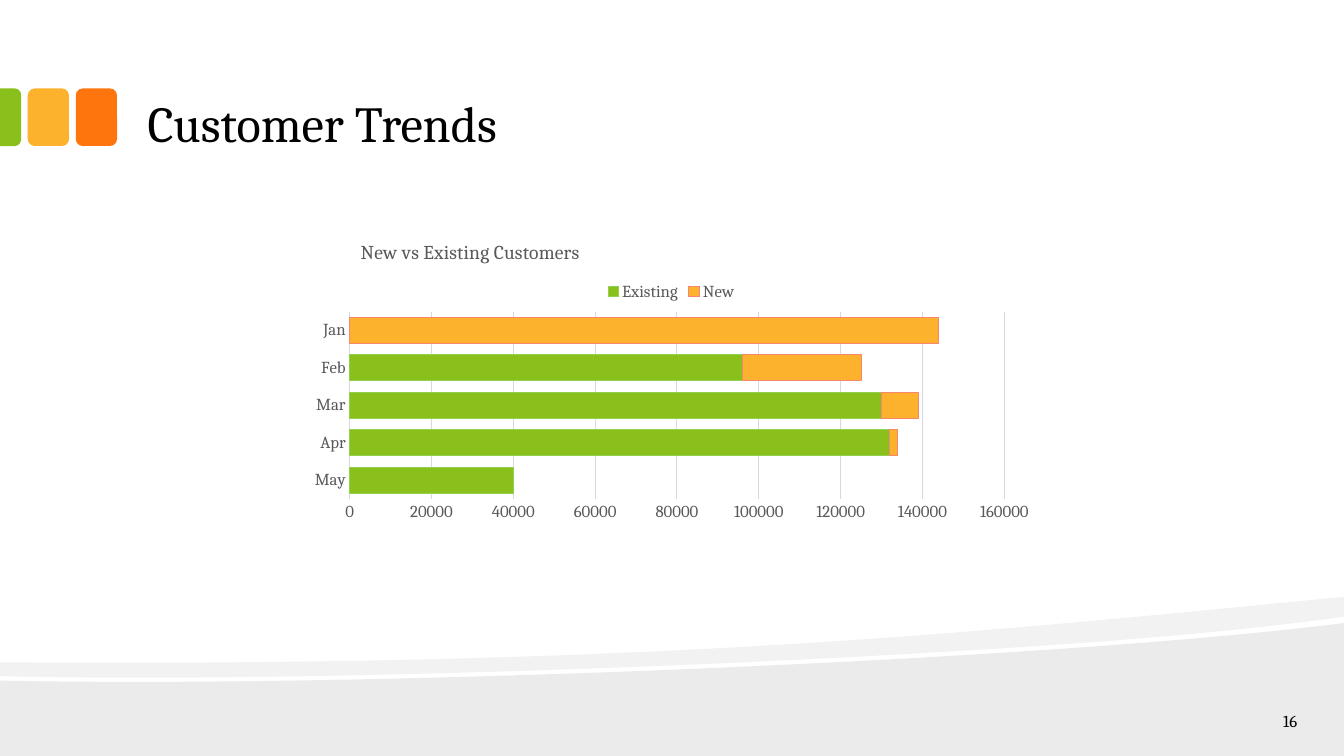
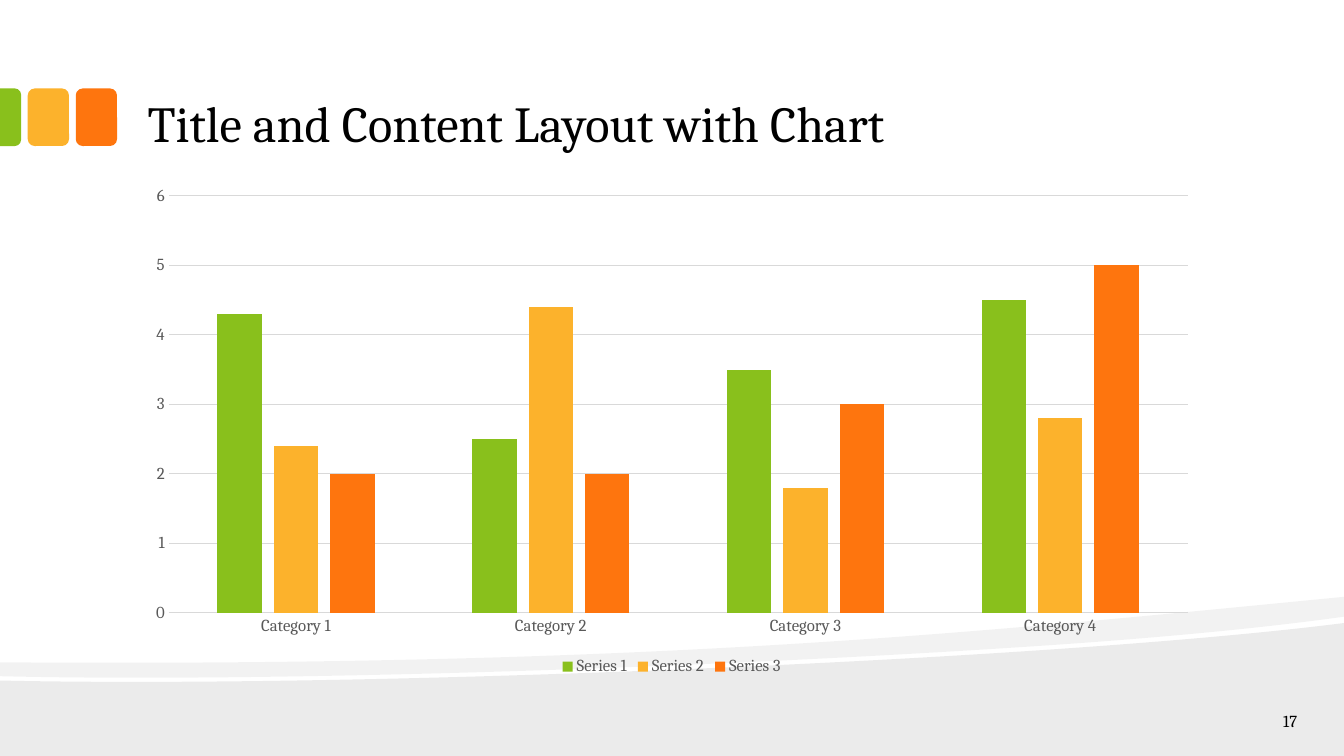
import dataclasses

import lxml.etree
import pptx
import pptx.chart.data
import pptx.dml.color
import pptx.enum.chart
import pptx.enum.shapes
import pptx.enum.text
import pptx.oxml.ns
import pptx.util

Cm = pptx.util.Cm
Pt = pptx.util.Pt
Kind = pptx.enum.chart.XL_CHART_TYPE
Spot = pptx.enum.chart.XL_LEGEND_POSITION
Shape = pptx.enum.shapes.MSO_SHAPE
Align = pptx.enum.text.PP_ALIGN
Anchor = pptx.enum.text.MSO_ANCHOR
name = pptx.oxml.ns.qn


@dataclasses.dataclass(frozen=True)
class Theme:
    """Hold the colours, font and type sizes of the deck."""

    green: str = "89C01C"
    amber: str = "FCB22C"
    orange: str = "FE750E"
    lime: str = "92D050"
    coral: str = "F78670"
    ink: str = "000000"
    grey: str = "595959"
    rule: str = "D9D9D9"
    wave: int = 8
    crest: int = 5
    font: str = "Cambria"
    head: int = 36
    sub: int = 14
    small: int = 12
    thin: float = 0.75


@dataclasses.dataclass(frozen=True)
class Box:
    """Hold a frame in centimetres."""

    x: float
    y: float
    w: float
    h: float

    def frame(self):
        """Return the frame as lengths."""
        return Cm(self.x), Cm(self.y), Cm(self.w), Cm(self.h)


THEME = Theme()
PAGE = Box(0, 0, 33.87, 19.05)
HEAD = Box(3.39, 0.41, 27.08, 3.61)
TILES = Box(0, 2.23, 2.95, 1.45)
FOOT = Box(30.76, 17.91, 2.26, 0.51)
WAVE = [
    [(0, 17.15)],
    [(8.94, 17.35), (26.47, 16.64), (33.87, 15.7)],
    [(33.87, 19.05)],
    [(0, 19.05)],
]
CREST = [
    [(0, 16.69)],
    [(16.56, 16.81), (24.66, 15.93), (33.87, 15.04)],
    [(33.87, 15.54)],
    [(31.88, 15.82), (29.18, 16.08), (26.14, 16.28)],
    [(17.73, 16.84), (6.55, 17.2), (0, 17.04)],
]


def tint(hue):
    """Turn a hex string into a colour."""
    return pptx.dml.color.RGBColor.from_string(hue)


def style(font, size, hue):
    """Set the face, size and colour of a font."""
    font.name, font.size, font.bold = THEME.font, Pt(size), False
    font.color.rgb = tint(hue)


def paint(shape, hue):
    """Fill a shape flat, with no line or shadow."""
    shape.shadow.inherit = False
    shape.fill.solid()
    shape.fill.fore_color.rgb = tint(hue)
    shape.line.fill.background()


def bend(shape, steps):
    """Join each run of three segments into one cubic curve."""
    lines = iter(shape.element.findall(".//" + name("a:lnTo")))
    for step in steps[1:]:
        group = [next(lines) for _ in step]
        if len(group) == 3:
            curve = lxml.etree.Element(name("a:cubicBezTo"))
            group[0].addprevious(curve)
            for line in group:
                curve.append(line[0])
                line.getparent().remove(line)


def add_band(slide, box, steps, shade):
    """Draw one sheer curved band, measured from the corner of the box."""
    points = [(Cm(box.x + x), Cm(box.y + y)) for step in steps for x, y in step]
    form = slide.shapes.build_freeform(*points[0], scale=1.0)
    form.add_line_segments(points[1:], close=True)
    band = form.convert_to_shape()
    bend(band, steps)
    paint(band, THEME.ink)
    color = band.element.spPr.find(name("a:solidFill"))[0]
    lxml.etree.SubElement(color, name("a:alpha")).set("val", str(shade * 1000))


def add_tiles(slide, box):
    """Draw the cut tile and two whole tiles beside the title."""
    half, wide, gap = 0.53, 1.04, 0.17
    for i, hue in enumerate((THEME.amber, THEME.orange)):
        spot = Box(box.x + half + gap + i * (wide + gap), box.y, wide, box.h)
        paint(slide.shapes.add_shape(Shape.ROUNDED_RECTANGLE, *spot.frame()), hue)
    spot = Box(box.x + (half - box.h) / 2, box.y + (box.h - half) / 2, box.h, half)
    tile = slide.shapes.add_shape(Shape.ROUND_2_SAME_RECTANGLE, *spot.frame())
    tile.adjustments[0] = 0.29
    tile.rotation = 90
    paint(tile, THEME.green)


def add_text(slide, box, text, size, anchor, align):
    """Place one line of text in the box."""
    frame = slide.shapes.add_textbox(*box.frame()).text_frame
    frame.word_wrap = True
    frame.vertical_anchor = anchor
    frame.margin_left = frame.margin_right = Cm(0.33)
    frame.margin_top = frame.margin_bottom = Cm(0.18)
    frame.text = text
    line = frame.paragraphs[0]
    line.alignment = align
    style(line.runs[0].font, size, THEME.ink)


def add_base(deck, title, page):
    """Add a slide with its bands, tiles, title and number."""
    slide = deck.slides.add_slide(deck.slide_layouts[6])
    add_band(slide, PAGE, WAVE, THEME.wave)
    add_band(slide, PAGE, CREST, THEME.crest)
    add_tiles(slide, TILES)
    add_text(slide, HEAD, title, THEME.head, Anchor.BOTTOM, Align.LEFT)
    add_text(slide, FOOT, str(page), THEME.small, Anchor.MIDDLE, Align.RIGHT)
    return slide


def set_place(host, index, **parts):
    """Fix a chart part at fractions of the chart frame."""
    for old in host.findall(name("c:layout")):
        host.remove(old)
    place = lxml.etree.Element(name("c:layout"))
    hold = lxml.etree.SubElement(place, name("c:manualLayout"))
    if "w" in parts:
        lxml.etree.SubElement(hold, name("c:layoutTarget")).set("val", "inner")
    for key in ("xMode", "yMode"):
        lxml.etree.SubElement(hold, name("c:" + key)).set("val", "edge")
    for key, val in parts.items():
        lxml.etree.SubElement(hold, name("c:" + key)).set("val", str(val))
    host.insert(index, place)


def set_axes(chart, top, step):
    """Style both axes and set the value scale."""
    for axis in (chart.category_axis, chart.value_axis):
        axis.major_tick_mark = axis.minor_tick_mark = pptx.enum.chart.XL_TICK_MARK.NONE
        style(axis.tick_labels.font, THEME.small, THEME.grey)
    axis.minimum_scale, axis.maximum_scale, axis.major_unit = 0, top, step
    axis.has_major_gridlines = True
    axis.format.line.fill.background()
    for line in (chart.category_axis.format.line, axis.major_gridlines.format.line):
        line.color.rgb = tint(THEME.rule)
        line.width = Pt(THEME.thin)


def add_chart(slide, box, kind, cats, rows, gap, lap, spot, scale):
    """Place a bar chart; each row is label, values, fill and edge."""
    data = pptx.chart.data.CategoryChartData()
    data.categories = cats
    for label, vals, *_ in rows:
        data.add_series(label, vals)
    chart = slide.shapes.add_chart(kind, *box.frame(), data).chart
    style(chart.font, THEME.small, THEME.grey)
    chart.has_title = False
    chart.has_legend = True
    chart.legend.position = spot
    chart.legend.include_in_layout = False
    style(chart.legend.font, THEME.small, THEME.grey)
    set_axes(chart, *scale)
    plot = chart.plots[0]
    plot.gap_width, plot.overlap, plot.vary_by_categories = gap, lap, False
    for bar, (_, _, hue, edge) in zip(plot.series, rows):
        bar.invert_if_negative = False
        bar.format.fill.solid()
        bar.format.fill.fore_color.rgb = tint(hue)
        if edge:
            bar.format.line.color.rgb = tint(edge)
            bar.format.line.width = Pt(THEME.thin)
    return chart


def add_trends(deck):
    """Build the slide on new and existing customers."""
    slide = add_base(deck, "Customer Trends", 16)
    rows = [
        ("Existing", (40000, 132000, 130000, 96000, None), THEME.green, THEME.lime),
        ("New", (0, 2000, 9000, 29000, 144000), THEME.amber, THEME.coral),
    ]
    chart = add_chart(slide, Box(7.5, 5.72, 18.75, 7.62), Kind.BAR_STACKED,
                      ("May", "Apr", "Mar", "Feb", "Jan"), rows,
                      44, 100, Spot.TOP, (160000, 20000))
    chart.has_title = True
    frame = chart.chart_title.text_frame
    frame.text = "New vs Existing Customers"
    style(frame.paragraphs[0].runs[0].font, THEME.sub, THEME.grey)
    root = chart._chartSpace
    set_place(root.xpath("c:chart/c:title")[0], 1, x=0.08, y=0.03)
    set_place(root.xpath("c:chart/c:legend")[0], 1, x=0.41, y=0.17)
    set_place(root.xpath("c:chart/c:plotArea")[0], 0, x=0.07, y=0.28, w=0.88, h=0.62)


def add_groups(deck):
    """Build the slide with three series in four groups."""
    slide = add_base(deck, "Title and Content Layout with Chart", 17)
    rows = [
        ("Series 1", (4.3, 2.5, 3.5, 4.5), THEME.green, None),
        ("Series 2", (2.4, 4.4, 1.8, 2.8), THEME.amber, None),
        ("Series 3", (2, 2, 3, 5), THEME.orange, None),
    ]
    add_chart(slide, Box(HEAD.x, 4.44, HEAD.w, 12.7), Kind.COLUMN_CLUSTERED,
              [f"Category {i}" for i in range(1, 5)], rows,
              219, -27, Spot.BOTTOM, (6, 1))


def main():
    """Build and save the deck."""
    deck = pptx.Presentation()
    deck.slide_width, deck.slide_height = Cm(PAGE.w), Cm(PAGE.h)
    add_trends(deck)
    add_groups(deck)
    deck.save("out.pptx")


if __name__ == "__main__":
    main()
